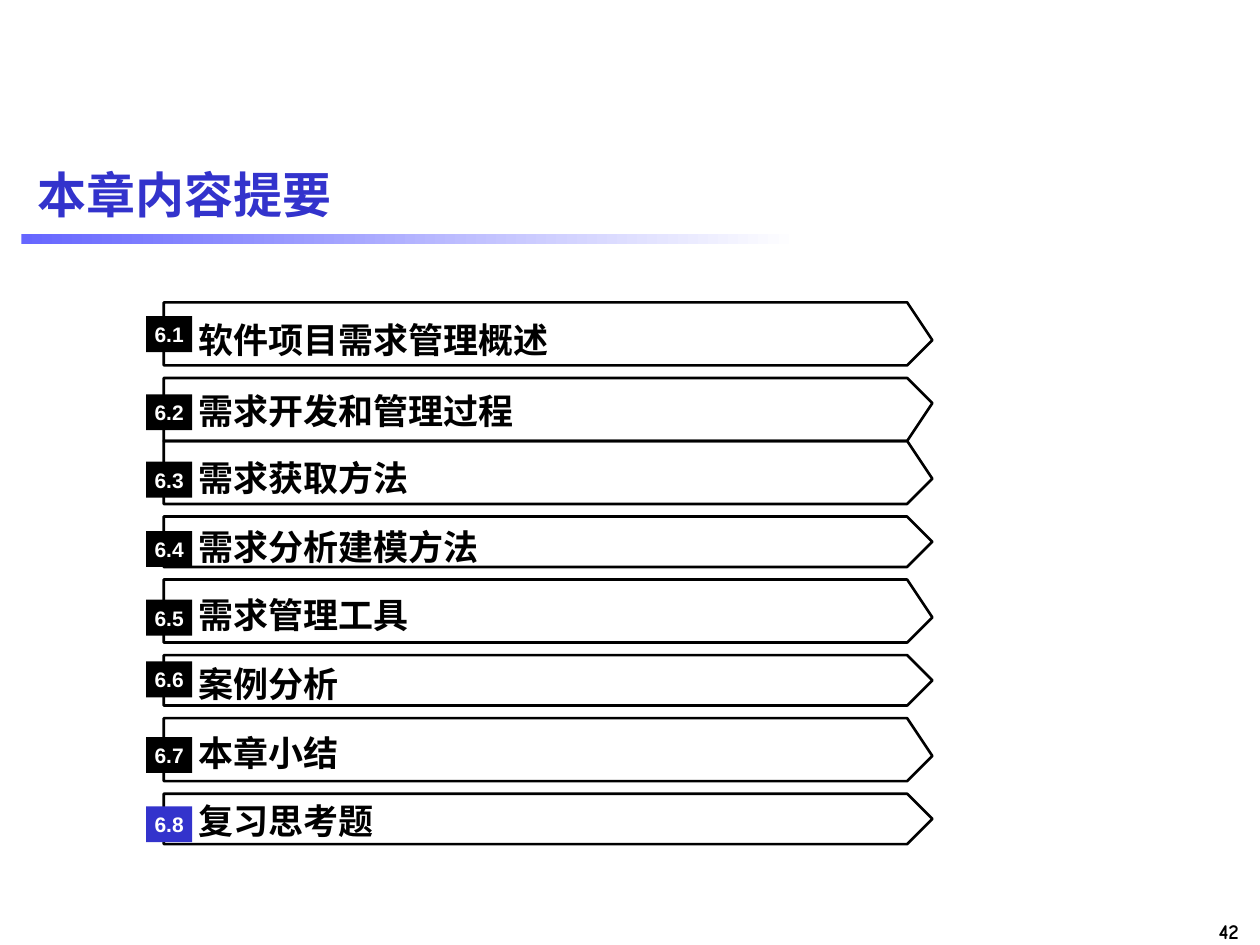
from dataclasses import dataclass

from pptx import Presentation
from pptx.dml.color import RGBColor
from pptx.enum.shapes import MSO_SHAPE
from pptx.enum.text import MSO_ANCHOR, PP_ALIGN
from pptx.util import Inches, Pt

RECTANGLE = MSO_SHAPE.RECTANGLE
TOP, MIDDLE = MSO_ANCHOR.TOP, MSO_ANCHOR.MIDDLE
LEFT, CENTER, RIGHT = PP_ALIGN.LEFT, PP_ALIGN.CENTER, PP_ALIGN.RIGHT

# The page is a grid of 100 columns by 75 rows.
COLUMNS, ROWS = 100, 75
CELL = Inches(0.1)


@dataclass(frozen=True)
class TextStyle:
    font: str
    size: int
    color: str
    align: PP_ALIGN = LEFT
    anchor: MSO_ANCHOR = MIDDLE
    margin: tuple[float, float] = (0, 0)


@dataclass(frozen=True)
class Theme:
    ink: str = "000000"
    accent: str = "3333CC"
    bar_start: str = "6666FF"
    bar_end: str = "FFFFFF"
    outline: float = 1.5
    title: TextStyle = TextStyle("Arial", 28, "3333CC", margin=(1, 0.5))
    topic: TextStyle = TextStyle("Times New Roman", 20, "000000")
    badge: TextStyle = TextStyle("Arial", 12, "FFFFFF", CENTER)
    page_number: TextStyle = TextStyle("Comic Neue", 12, "000000", RIGHT, TOP, (1, 0.5))


@dataclass(frozen=True)
class Area:
    left: float
    top: float
    width: float
    height: float

    def emu(self) -> tuple[int, ...]:
        return tuple(round(n * CELL) for n in (self.left, self.top, self.width, self.height))


@dataclass(frozen=True)
class Topic:
    """One line of the agenda; drops are measured from the top of its banner."""
    name: str
    height: float = 4.57
    text_drop: float = 0.8
    badge_drop: float = 1.25
    lift: float = 0
    current: bool = False


THEME = Theme()
CHAPTER = 6
FIRST_TOP, PITCH = 24.55, 5.45
BANNER_LEFT, SHOULDER, TIP = 12.97, 72.08, 73.6
TOPICS = (
    Topic("软件项目需求管理概述", height=4.85, text_drop=1, badge_drop=0.8, lift=0.25),
    Topic("需求开发和管理过程", height=4.75, text_drop=0.9, badge_drop=1.3),
    Topic("需求获取方法", badge_drop=1.2),
    Topic("需求分析建模方法"),
    Topic("需求管理工具"),
    Topic("案例分析", badge_drop=0.7),
    Topic("本章小结"),
    Topic("复习思考题", height=4.7, badge_drop=1.3, current=True),
)


def write(shape, text: str, style: TextStyle) -> None:
    frame = shape.text_frame
    side, edge = (round(n * CELL) for n in style.margin)
    frame_format = {
        "word_wrap": True, "vertical_anchor": style.anchor,
        "margin_left": side, "margin_right": side,
        "margin_top": edge, "margin_bottom": edge,
    }
    for name, value in frame_format.items():
        setattr(frame, name, value)
    para = frame.paragraphs[0]
    para.alignment = style.align
    span = para.add_run()
    span.text = text
    for name, value in {"name": style.font, "size": Pt(style.size), "bold": True}.items():
        setattr(span.font, name, value)
    span.font.color.rgb = RGBColor.from_string(style.color)


def add_text(page, area: Area, text: str, style: TextStyle) -> None:
    write(page.shapes.add_textbox(*area.emu()), text, style)


def add_block(page, area: Area):
    """Add a rectangle without line or shadow, ready to be filled."""
    block = page.shapes.add_shape(RECTANGLE, *area.emu())
    block.shadow.inherit = False
    block.line.fill.background()
    return block


def add_title_bar(page, area: Area) -> None:
    fill = add_block(page, area).fill
    fill.gradient()
    fill.gradient_angle = 0
    ends = ((0, THEME.bar_start), (1, THEME.bar_end))
    for stop, (position, color) in zip(fill.gradient_stops, ends):
        stop.position = position
        stop.color.rgb = RGBColor.from_string(color)


def add_banner(page, top: float, height: float) -> None:
    bottom = top + height
    outline = page.shapes.build_freeform(BANNER_LEFT, top, scale=CELL)
    outline.add_line_segments(
        [(SHOULDER, top), (TIP, top + height / 2), (SHOULDER, bottom), (BANNER_LEFT, bottom)],
        close=True,
    )
    banner = outline.convert_to_shape()
    banner.shadow.inherit = False
    banner.fill.background()
    banner.line.color.rgb = RGBColor.from_string(THEME.ink)
    banner.line.width = Pt(THEME.outline)


def add_topic(page, index: int, topic: Topic) -> None:
    top = FIRST_TOP + index * PITCH - topic.lift
    add_banner(page, top, topic.height)
    add_text(page, Area(15.75, top + topic.text_drop, 53.8, 3.3), topic.name, THEME.topic)
    badge = add_block(page, Area(11.6, top + topic.badge_drop, 3.65, 2.85))
    badge.fill.solid()
    badge.fill.fore_color.rgb = RGBColor.from_string(THEME.accent if topic.current else THEME.ink)
    write(badge, f"{CHAPTER}.{index + 1}", THEME.badge)


def main() -> None:
    deck = Presentation()
    deck.slide_width, deck.slide_height = COLUMNS * CELL, ROWS * CELL
    page = deck.slides.add_slide(deck.slide_layouts[6])
    add_text(page, Area(90.1, 72.4, 9.2, 3), "42", THEME.page_number)
    add_title_bar(page, Area(1.7, 18.6, 61.7, 0.8))
    add_text(page, Area(2, 11.5, 96.1, 7.8), "本章内容提要", THEME.title)
    for index, topic in enumerate(TOPICS):
        add_topic(page, index, topic)
    deck.save("out.pptx")


if __name__ == "__main__":
    main()
